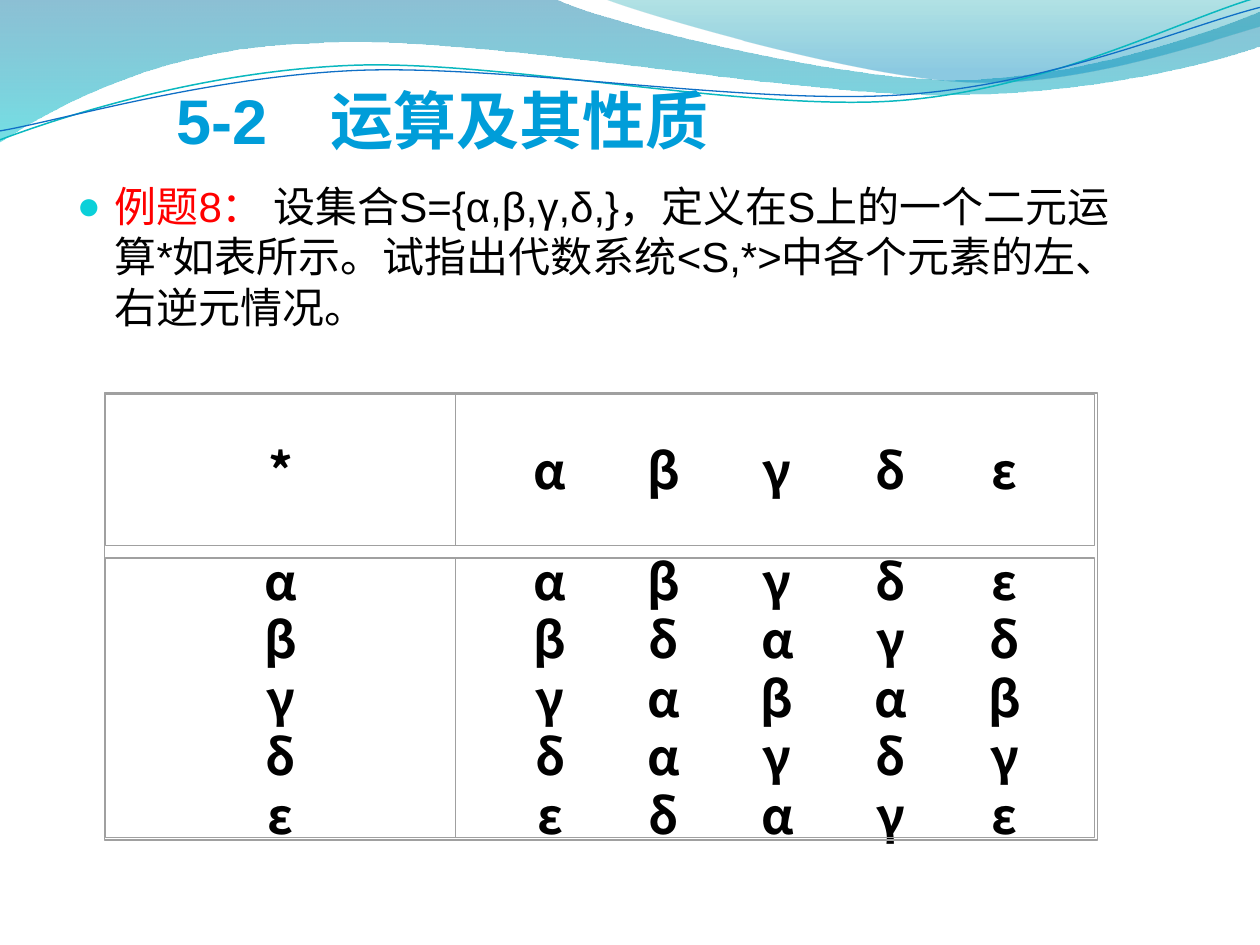
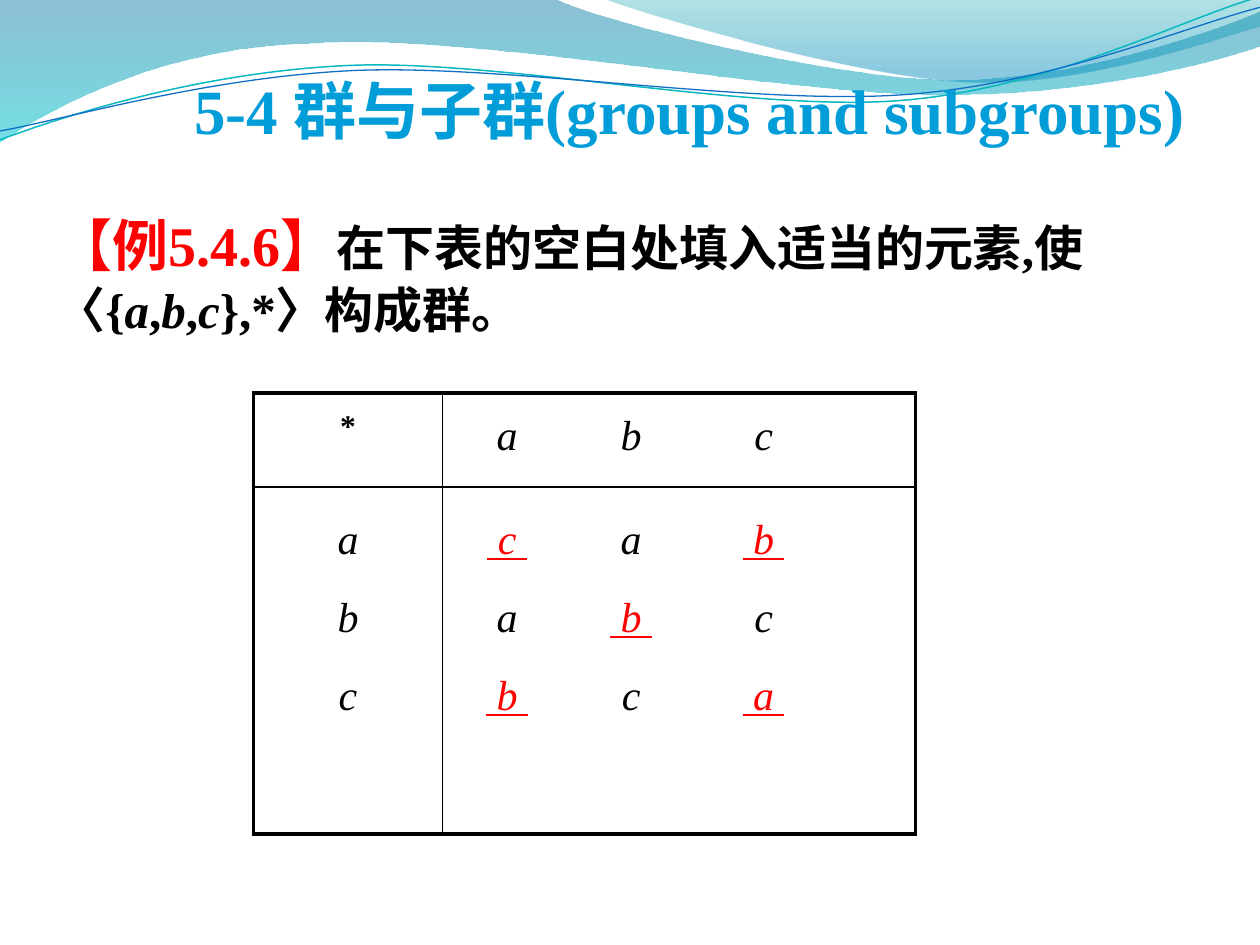
from lxml import etree
from pptx import Presentation, util as u
from pptx.dml.color import RGBColor
from pptx.enum import shapes, text
from pptx.oxml.ns import qn

CJK, SANS, SERIF = "Noto Sans CJK SC", "Arial", "Times New Roman"
BLACK, RED, TITLE, GREY = "000000", "FF0000", "009DD9", "A0A0A0"
CENTER, LEFT = text.PP_ALIGN.CENTER, text.PP_ALIGN.LEFT
MIDDLE, TOP = text.MSO_ANCHOR.MIDDLE, text.MSO_ANCHOR.TOP

# Waves in cm: a start point, then lines (2 numbers) and Bezier curves (6 numbers)
BANDS = [
    ([(0, 0), (11.18, -0.03), (12.09, 0.43, 16.87, 1.6, 19.25, 1.6),
      (21.67, 1.6, 24.33, 0.66, 25.4, 0.23), (25.43, 0.91),
      (24.97, 1.12, 22.1, 1.93, 18.95, 1.91), (15.8, 1.91, 9.7, 0.71, 6.53, 0.86),
      (3.28, 0.91, 1.17, 2.11, -0.03, 2.87), (0, 0)],
     [(0, "0074A1", 45), (1, "00C6CF", 55)]),
    ([(12.17, -0.03), (12.93, 0.28, 17.32, 1.57, 19.53, 1.65),
      (21.74, 1.75, 24.41, 0.81, 25.4, 0.53), (25.4, 0), (12.17, -0.03)],
     [(0, "00A1A9", 30), (0.8, "008BBF", 45)]),
]
STRANDS = [
    ([(0, 2.82), (1.22, 2.36, 4.01, 1.45, 7.04, 1.32),
      (10.03, 1.19, 15.06, 2.26, 18.11, 2.03),
      (21.16, 1.8, 23.83, 0.38, 25.35, -0.05)], "0AB8BF", 0.85),
    ([(0, 2.64), (1.19, 2.44, 4.17, 1.55, 7.19, 1.42),
      (10.24, 1.3, 15.16, 2.13, 18.21, 1.91),
      (21.23, 1.7, 23.9, 0.53, 25.4, 0.15)], "0F6FC6", 0.75),
]


def rgb(code):
    return RGBColor.from_string(code)


def add_xml(parent, tag, **attributes):
    return etree.SubElement(parent, qn(tag), {k: str(v) for k, v in attributes.items()})


def bend(wave, steps):
    """Join each three segments that stand for one curve into a Bezier curve."""
    segments = iter(list(wave._element.iter(qn("a:lnTo"))))
    for step in steps[1:]:
        first = next(segments)
        if len(step) == 6:
            curve = etree.Element(qn("a:cubicBezTo"))
            first.addprevious(curve)
            for segment in (first, next(segments), next(segments)):
                curve.append(segment[0])
                segment.getparent().remove(segment)


def write(paragraph, words, size=24, font=SANS, color=BLACK,
          bold=False, italic=False, underline=False):
    run = paragraph.add_run()
    run.text = words
    style = run.font
    style.size, style.name, style.color.rgb = u.Pt(size), font, rgb(color)
    style.bold, style.italic, style.underline = bold, italic, underline
    add_xml(run._r.get_or_add_rPr(), "a:ea", typeface=CJK)


def lay_out(paragraph, align=LEFT, spacing=None, before=0, after=0, tabs=()):
    paragraph.alignment = align
    paragraph.line_spacing = spacing
    paragraph.space_before, paragraph.space_after = u.Pt(before), u.Pt(after)
    if tabs:
        stops = add_xml(paragraph._p.get_or_add_pPr(), "a:tabLst")
        for position in tabs:
            add_xml(stops, "a:tab", pos=u.Cm(position), algn="ctr")


def paragraphs(frame, count):
    return [frame.paragraphs[0]] + [frame.add_paragraph() for _ in range(count - 1)]


class Deck:
    def __init__(self):
        self.file = Presentation()
        self.file.slide_width, self.file.slide_height = u.Cm(25.4), u.Cm(19.05)
        self.slide = None

    def new_slide(self):
        self.slide = self.file.slides.add_slide(self.file.slide_layouts[6])
        for steps, stops in BANDS:
            self.band(steps, stops)
        for steps, color, width in STRANDS:
            self.strand(steps, color, width)

    def outline(self, steps, close):
        points = [(round(step[i] * 100), round(step[i + 1] * 100))
                  for step in steps for i in range(0, len(step), 2)]
        builder = self.slide.shapes.build_freeform(*points[0], scale=u.Cm(0.01))
        builder.add_line_segments(points[1:], close=close)
        wave = builder.convert_to_shape()
        bend(wave, steps)
        wave.shadow.inherit = False
        return wave

    def band(self, steps, stops):
        band = self.outline(steps, True)
        band.line.fill.background()
        band.fill.gradient()
        band.fill.gradient_angle = 270
        for stop, (position, color, _) in zip(band.fill.gradient_stops, stops):
            stop.position, stop.color.rgb = position, rgb(color)
        for tint, (_, _, opacity) in zip(band._element.iter(qn("a:srgbClr")), stops):
            add_xml(tint, "a:alpha", val=opacity * 1000)

    def strand(self, steps, color, width):
        strand = self.outline(steps, False)
        strand.fill.background()
        strand.line.color.rgb, strand.line.width = rgb(color), u.Pt(width)

    def text_box(self, left, top, width, height, anchor=TOP):
        box = self.slide.shapes.add_textbox(*map(u.Cm, (left, top, width, height)))
        box.text_frame.word_wrap = True
        box.text_frame.vertical_anchor = anchor
        return box.text_frame

    def title(self, words, left, top, font, align=LEFT):
        heading = self.text_box(left, top, 21.59, 1.78, MIDDLE).paragraphs[0]
        lay_out(heading, align)
        write(heading, words, size=36, font=font, color=TITLE, bold=True)

    def frame(self, left, top, width, height, line_width=0):
        box = self.slide.shapes.add_shape(shapes.MSO_SHAPE.RECTANGLE,
                                          *map(u.Cm, (left, top, width, height)))
        box.shadow.inherit = False
        box.fill.background()
        box.line.color.rgb, box.line.width = rgb(GREY), u.Pt(line_width)

    def symbol_cell(self, left, top, width, height, lines, tabs=()):
        """A framed cell; each line is centred or spread over tab stops."""
        body = self.text_box(left + 0.25, top + 0.13, width - 0.5, height - 0.26, MIDDLE)
        body.margin_left = body.margin_right = body.margin_top = body.margin_bottom = 0
        spacing = u.Pt(33.4) if len(lines) > 1 else None
        for paragraph, symbols in zip(paragraphs(body, len(lines)), lines):
            lay_out(paragraph, LEFT if tabs else CENTER, spacing, tabs=tabs)
            words = "".join("\t" + s for s in symbols) if tabs else symbols
            write(paragraph, words, size=28, font=CJK, bold=True)
        self.frame(left, top, width, height)

    def table(self, left, top, columns, rows):
        grid = self.slide.shapes.add_table(
            len(rows), len(columns),
            *map(u.Cm, (left, top, sum(columns), sum(rows)))).table
        grid.first_row = grid.horz_banding = False
        for column, width in zip(grid.columns, columns):
            column.width = u.Cm(width)
        for row, height in zip(grid.rows, rows):
            row.height = u.Cm(height)
        for r in range(len(rows)):
            for c in range(len(columns)):
                self.borders(grid.cell(r, c), {
                    "L": c == 0, "R": c == len(columns) - 1,
                    "T": r == 0, "B": r == len(rows) - 1})
        return grid

    def borders(self, cell, outer_sides):
        properties = cell._tc.get_or_add_tcPr()
        for side, outer in outer_sides.items():
            line = add_xml(properties, "a:ln" + side, w=u.Pt(2.25 if outer else 1))
            add_xml(add_xml(line, "a:solidFill"), "a:srgbClr", val=BLACK)
        cell.fill.background()


deck = Deck()

# Slide 1: example 8
deck.new_slide()
exercise = deck.text_box(1.3, 3.53, 21.59, 4.45).paragraphs[0]
lay_out(exercise, spacing=u.Pt(28.6), before=5, after=5)
bullet = exercise._p.get_or_add_pPr()
bullet.set("marL", str(u.Cm(0.76)))
bullet.set("indent", str(u.Cm(-0.76)))
add_xml(add_xml(bullet, "a:buClr"), "a:srgbClr", val="0BD0D9")
add_xml(bullet, "a:buSzPct", val=95000)
add_xml(bullet, "a:buFont", typeface=SANS)
add_xml(bullet, "a:buChar", char="●")
write(exercise, "例题8：", color=RED)
write(exercise, " 设集合S={α,β,γ,δ,}，定义在S上的一个二元运算*如表所示。"
                "试指出代数系统<S,*>中各个元素的左、右逆元情况。")

# Operation table: header and body cells inside a double frame
elements = "αβγδε"
products = ["αβγδε", "βδαγδ", "γαβαβ", "δαγδγ", "εδαγε"]
element_tabs = [1.65 + 2.29 * i for i in range(5)]
for top, height, left_lines, right_lines in [
        (7.95, 3.05, ["*"], [elements]),
        (11.25, 5.64, list(elements), products)]:
    deck.symbol_cell(2.13, top, 7.06, height, left_lines)
    deck.symbol_cell(9.19, top, 12.88, height, right_lines, element_tabs)
deck.frame(2.11, 7.92, 20.02, 9.02, 0.87)
deck.title("5-2\u3000运算及其性质", 3.3, 1.52, SANS)

# Slide 2: example 5.4.6
deck.new_slide()
exercise_box = deck.text_box(0.89, 4.11, 23.29, 2.79)
exercise_box.margin_top = u.Cm(0.28)
exercise = exercise_box.paragraphs[0]
lay_out(exercise, spacing=u.Pt(34.4), before=4)
write(exercise, "【例5.4.6】", size=32, font=SERIF, color=RED, bold=True)
for words in ["在下表的空白处填入适当的元素,使〈{", "a", ",", "b", ",", "c", "},*〉构成群。"]:
    write(exercise, words, size=28, font=SERIF, bold=True, italic=words in "abc")

# Group table with the filled-in blanks underlined
group = deck.table(5.11, 7.92, [3.81, 9.53], [1.9, 6.99])
members, results = "abc", ["cab", "abc", "bca"]
blanks = {(0, 0), (0, 2), (1, 1), (2, 0), (2, 2)}
member_tabs = [1.05, 3.55, 6.22]

operator = group.cell(0, 0).text_frame.paragraphs[0]
lay_out(operator, CENTER, 1.3, 3.6)
write(operator, "*", size=18, font=SERIF, bold=True)
header = group.cell(0, 1).text_frame.paragraphs[0]
lay_out(header, LEFT, 1.3, 4.8, tabs=member_tabs)
write(header, "".join("\t" + m for m in members), font=SERIF, italic=True)

for paragraph, member in zip(paragraphs(group.cell(1, 0).text_frame, 3), members):
    lay_out(paragraph, CENTER, 1.5, 4.8)
    write(paragraph, member, font=SERIF, italic=True)
for r, paragraph in enumerate(paragraphs(group.cell(1, 1).text_frame, 3)):
    lay_out(paragraph, LEFT, 1.5, 4.8, tabs=member_tabs)
    for c, result in enumerate(results[r]):
        blank = (r, c) in blanks
        write(paragraph, "\t", font=SERIF, italic=True)
        write(paragraph, f" {result} " if blank else result, font=SERIF,
              color=RED if blank else BLACK, italic=True, underline=blank)
deck.title("5-4 群与子群(groups and subgroups)", 3.1, 1.32, SERIF, CENTER)

deck.file.save("out.pptx")
